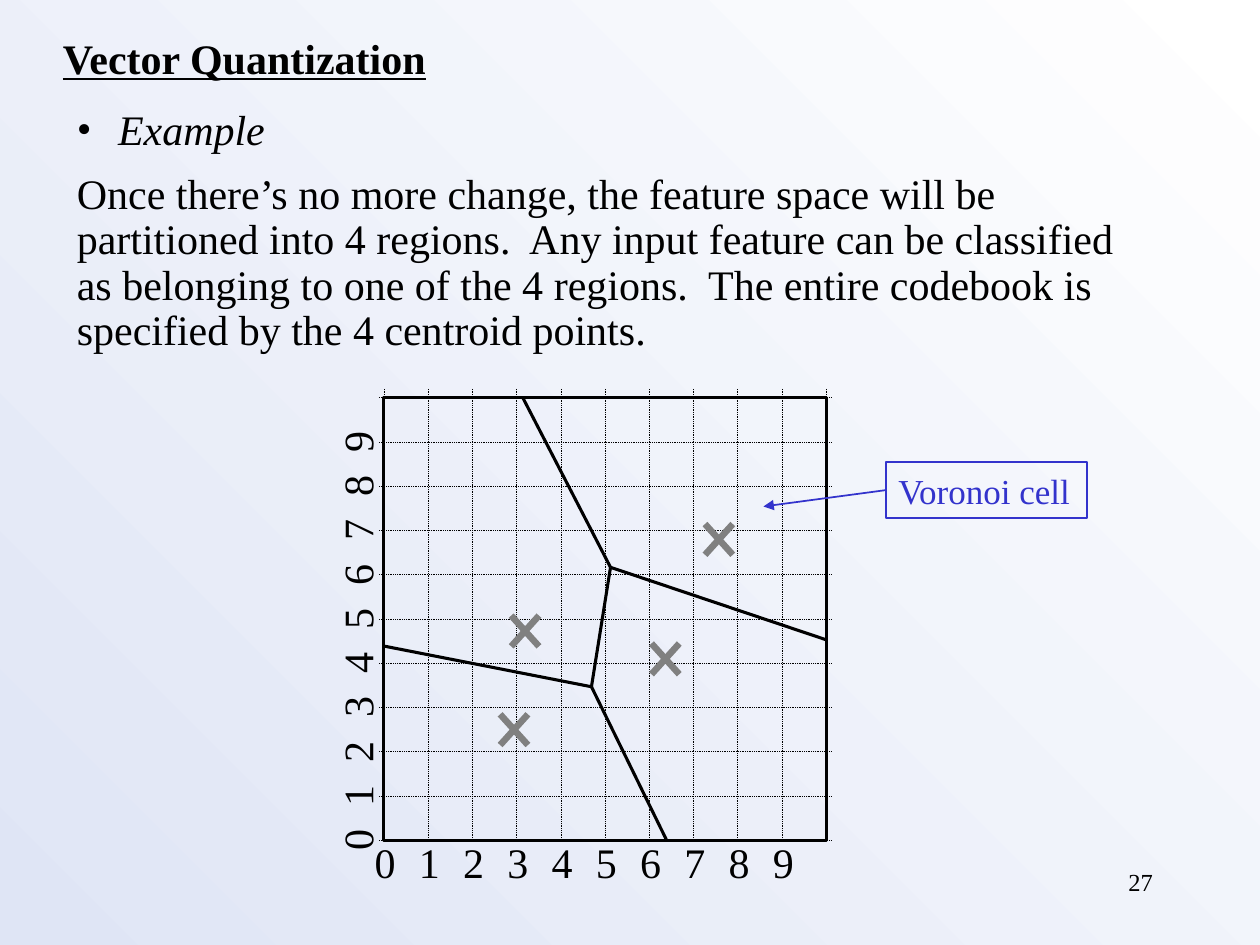
import pptx
import pptx.util
import pptx.dml.color
import pptx.enum.dml
import pptx.enum.shapes
import pptx.enum.text
import pptx.oxml
import pptx.oxml.ns

Cm, Pt = pptx.util.Cm, pptx.util.Pt
RGBColor = pptx.dml.color.RGBColor
BLACK = RGBColor(0x00, 0x00, 0x00)
WHITE = RGBColor(0xFF, 0xFF, 0xFF)
GRAY = RGBColor(0x80, 0x80, 0x80)
BLUE = RGBColor(0x33, 0x33, 0xCC)
PALE_BLUE = RGBColor(0xDF, 0xE5, 0xF5)
FONT = "Times New Roman"
CELLS = 10
CENTROIDS = [(2.94, 2.5), (3.19, 4.73), (6.36, 4.1), (7.57, 6.8)]
LOWER, UPPER = (4.69, 3.47), (5.12, 6.17)
BORDERS = [((0, 4.39), LOWER), (LOWER, (6.39, 0)), (LOWER, UPPER),
           (UPPER, (10, 4.53)), ((3.14, 10), UPPER)]


def add_xml(parent, tag, **attrs):
    """Append a DrawingML element to the parent."""
    e = pptx.oxml.parse_xml(f"<a:{tag} {pptx.oxml.ns.nsdecls('a')}/>")
    for name, value in attrs.items():
        e.set(name, value)
    parent.append(e)
    return e


def add_text(tf, text, first=True, size=24, color=BLACK, bold=False, italic=False,
             underline=False, align=None, spacing=None, before=0, bullet=None):
    """Write one paragraph into a text frame."""
    p = tf.paragraphs[0] if first else tf.add_paragraph()
    p.alignment = align
    p.line_spacing = spacing
    p.space_before = Pt(before)
    if bullet:
        pPr = p._p.get_or_add_pPr()
        pPr.set("marL", str(Cm(0.83)))
        pPr.set("indent", str(-Cm(0.83)))
        add_xml(pPr, "buFont", typeface=FONT)
        add_xml(pPr, "buChar", char=bullet)
    p.text = text
    for r in p.runs:
        f = r.font
        f.name, f.size, f.color.rgb = FONT, Pt(size), color
        f.bold, f.italic, f.underline = bold, italic, underline
    return p


def add_box(shapes, x, y, w, h, wrap=False):
    """Add an empty text box measured in centimetres."""
    sp = shapes.add_textbox(Cm(x), Cm(y), Cm(w), Cm(h))
    sp.text_frame.word_wrap = wrap
    return sp


def add_rect(shapes, x, y, w, h, color, width):
    """Add an unfilled outlined rectangle."""
    kind = pptx.enum.shapes.MSO_SHAPE.RECTANGLE
    sp = shapes.add_shape(kind, Cm(x), Cm(y), Cm(w), Cm(h))
    sp.shadow.inherit = False
    sp.fill.background()
    sp.line.color.rgb = color
    sp.line.width = Pt(width)
    return sp


def add_line(shapes, start, end, color=BLACK, width=1.75, dash=None):
    """Add a straight line between two points in centimetres."""
    kind = pptx.enum.shapes.MSO_CONNECTOR.STRAIGHT
    sp = shapes.add_connector(kind, *(Cm(v) for v in (*start, *end)))
    sp.line.color.rgb = color
    sp.line.width = Pt(width)
    if dash:
        sp.line.dash_style = dash
    add_xml(sp._element.spPr, "effectLst")
    return sp


def add_background(s):
    """Fill the slide with a diagonal gradient."""
    fill = s.background.fill
    fill.gradient()
    fill.gradient_angle = 225
    for stop, color in zip(fill.gradient_stops, (WHITE, PALE_BLUE)):
        stop.color.rgb = color


def add_title(s, x, y, w, h):
    """Add the underlined slide title."""
    sp = add_box(s.shapes, x, y, w, h)
    add_text(sp.text_frame, "Vector Quantization", bold=True, underline=True)


def add_body(s, x, y, w, h):
    """Add the bullet and the explanation."""
    tf = add_box(s.shapes, x, y, w, h, wrap=True).text_frame
    add_text(tf, "Example", italic=True, spacing=0.9, bullet="•")
    add_text(tf, "Once there’s no more change, the feature space will be\v"
             "partitioned into 4 regions.  Any input feature can be classified",
             first=False, spacing=0.9, before=10.5)
    add_text(tf, "as belonging to one of the 4 regions.  The entire codebook is "
             "specified by the 4 centroid points.", first=False, spacing=0.9)


def add_grid(s, x, y, size):
    """Add the plot frame and its dotted grid."""
    add_rect(s.shapes, x, y, size, size, BLACK, 1.75)
    dot = pptx.enum.dml.MSO_LINE.ROUND_DOT
    columns, rows = (s.shapes.add_group_shape().shapes for _ in range(2))
    for i in range(CELLS + 1):
        d = i * size / CELLS
        add_line(columns, (x + d, y - 0.18), (x + d, y + size), width=0.5, dash=dot)
        add_line(rows, (x - 0.1, y + d), (x + size + 0.1, y + d), width=0.5, dash=dot)


def add_axis_labels(s, x, y, size):
    """Number both axes of the plot."""
    w, h = 0.91, 1.27
    across, upward = (s.shapes.add_group_shape().shapes for _ in range(2))
    for i in range(CELLS):
        d = i * size / CELLS
        sp = add_box(across, x + d + 0.02 - w / 2, y + size - 0.2, w, h)
        add_text(sp.text_frame, str(i))
        sp = add_box(upward, x - 0.55 - w / 2, y + size - d - h / 2, w, h)
        sp.rotation = 270
        add_text(sp.text_frame, str(i))


def add_plot(s, x, y, size):
    """Add the partitioned feature space with its centroids."""
    def at(px, py):
        """Turn plot units into a point on the slide."""
        return x + px * size / CELLS, y + size - py * size / CELLS

    add_grid(s, x, y, size)
    dx, dy = 0.28, 0.31
    for cx, cy in (at(*c) for c in CENTROIDS):
        cross = s.shapes.add_group_shape().shapes
        for k in (1, -1):
            add_line(cross, (cx - dx, cy - k * dy), (cx + dx, cy + k * dy), GRAY, 3.75)
    add_axis_labels(s, x, y, size)
    for start, end in BORDERS:
        add_line(s.shapes, at(*start), at(*end))


def add_callout(s, x, y, w, h, target):
    """Add the framed label and its arrow to the target."""
    sp = add_rect(s.shapes, x, y, w, h, BLUE, 1)
    sp.text_frame.word_wrap = False
    add_text(sp.text_frame, "Voronoi cell", size=20, color=BLUE,
             align=pptx.enum.text.PP_ALIGN.LEFT)
    arrow = add_line(s.shapes, (x, y + h / 2), target, BLUE, 1)
    arrow.begin_connect(sp, 1)
    add_xml(arrow.line._get_or_add_ln(), "tailEnd", type="triangle")


def add_page_number(s, x, y, w, h):
    """Add the slide number."""
    sp = add_box(s.shapes, x, y, w, h, wrap=True)
    add_text(sp.text_frame, "27", size=14, align=pptx.enum.text.PP_ALIGN.RIGHT)


def main():
    """Build the slide and save it."""
    prs = pptx.Presentation()
    prs.slide_width, prs.slide_height = Cm(25.4), Cm(19.05)
    s = prs.slides.add_slide(prs.slide_layouts[6])
    add_background(s)
    add_title(s, 1.02, 0.53, 7.9, 1.27)
    add_body(s, 1.3, 2.08, 23.37, 5.23)
    add_plot(s, 7.74, 8.02, 8.92)
    add_callout(s, 17.86, 9.32, 4.06, 1.12, (15.39, 10.21))
    add_page_number(s, 18.21, 17.35, 5.28, 1.27)
    prs.save("out.pptx")


if __name__ == "__main__":
    main()
